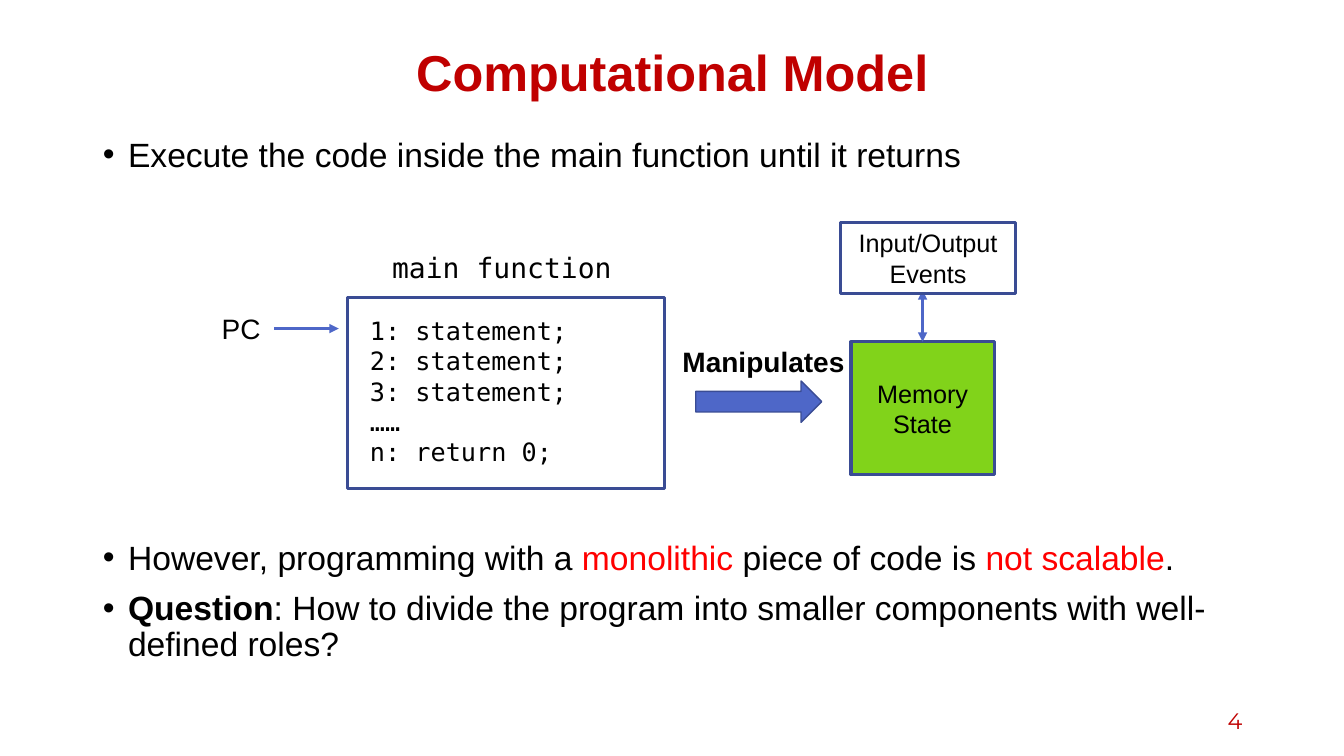
"""Build the Computational Model slide."""
from lxml import etree
from pptx import Presentation
from pptx.dml.color import RGBColor
from pptx.enum.shapes import MSO_CONNECTOR, MSO_SHAPE
from pptx.enum.text import MSO_ANCHOR, MSO_AUTO_SIZE, PP_ALIGN
from pptx.oxml.ns import qn
from pptx.util import Inches, Pt

RED = RGBColor(0xC0, 0x00, 0x00)
BRIGHT = RGBColor(0xFF, 0x00, 0x00)
BLACK = RGBColor(0x00, 0x00, 0x00)
WHITE = RGBColor(0xFF, 0xFF, 0xFF)
BLUE = RGBColor(0x4E, 0x67, 0xC8)
NAVY = RGBColor(0x3A, 0x4C, 0x94)
GREEN = RGBColor(0x81, 0xD3, 0x1A)
LEFT, CENTER, RIGHT = PP_ALIGN.LEFT, PP_ALIGN.CENTER, PP_ALIGN.RIGHT
TOP, MIDDLE = MSO_ANCHOR.TOP, MSO_ANCHOR.MIDDLE
RECT, ARROW = MSO_SHAPE.RECTANGLE, MSO_SHAPE.RIGHT_ARROW
STRAIGHT = MSO_CONNECTOR.STRAIGHT
SANS, MONO = "Arial", "DejaVu Sans Mono"


def write(shape, *lines, face=SANS, size=18, color=BLACK, bold=False,
          align=LEFT, anchor=TOP, space=None):
    frame = shape.text_frame
    frame.word_wrap = True
    frame.auto_size = MSO_AUTO_SIZE.NONE
    frame.vertical_anchor = anchor
    for i, line in enumerate(lines):
        para = frame.paragraphs[0] if i == 0 else frame.add_paragraph()
        para.alignment = align
        if space:
            para.line_spacing = space
        parts = [(line, color, bold)] if isinstance(line, str) else line
        for words, tint, heavy in parts:
            run = para.add_run()
            run.text = words
            run.font.name = face
            run.font.size = Pt(size)
            run.font.bold = heavy
            run.font.color.rgb = tint


def link(group, start, end, *ends):
    wire = group.add_connector(STRAIGHT, *map(Inches, start + end))
    wire.line.color.rgb = BLUE
    wire.line.width = Pt(2.25)
    line = wire.line._get_or_add_ln()
    for tag in ends:
        etree.SubElement(line, qn(tag), type="triangle")
    etree.SubElement(wire._element.spPr, qn("a:effectLst"))
    return wire


deck = Presentation()
deck.slide_width = Inches(13.33)
deck.slide_height = Inches(7.5)
slide = deck.slides.add_slide(deck.slide_layouts[1])
shapes = slide.shapes

title, body = slide.placeholders
for holder, top, height in ((title, 0.4, 0.7), (body, 1.32, 5.51)):
    holder.left, holder.top = Inches(0.92), Inches(top)
    holder.width, holder.height = Inches(11.5), Inches(height)
write(title, "Computational Model", size=36, color=RED, bold=True,
      align=CENTER, anchor=MIDDLE, space=0.9)
write(body, "Execute the code inside the main function until it returns",
      [("However, programming with a ", BLACK, False),
       ("monolithic", BRIGHT, False),
       (" piece of code is ", BLACK, False),
       ("not scalable", BRIGHT, False),
       (".", BLACK, False)],
      [("Question", BLACK, True),
       (": How to divide the program into smaller components with "
        "well-defined roles?", BLACK, False)],
      size=24, space=0.9)
for para, gap in zip(body.text_frame.paragraphs, (0, 262, 10)):
    props = para._p.get_or_add_pPr()
    props.set("marL", str(Inches(0.25)))
    props.set("indent", str(-Inches(0.25)))
    para.space_before = Pt(gap)

blocks = {}
for name, kind, spot, fill, width in (
        ("code", RECT, (3.45, 2.95, 3.14, 1.9), WHITE, 2.25),
        ("arrow", ARROW, (6.9, 3.78, 1.25, 0.41), BLUE, 1),
        ("state", RECT, (8.44, 3.39, 1.42, 1.32), GREEN, 2.25)):
    blocks[name] = (kind, spot, fill, width)
blocks["events"] = (RECT, (8.34, 2.21, 1.73, 0.7), WHITE, 2.25)
for name, (kind, spot, fill, width) in blocks.items():
    if name == "events":
        wire = link(shapes, (9.15, 2.88), (9.15, 3.39),
                    "a:headEnd", "a:tailEnd")
        wire.end_connect(blocks["state"], 0)
    block = shapes.add_shape(kind, *map(Inches, spot))
    block.shadow.inherit = False
    block.fill.solid()
    block.fill.fore_color.rgb = fill
    block.line.color.rgb = NAVY
    block.line.width = Pt(width)
    blocks[name] = block
write(blocks["state"], "Memory", "State", align=CENTER, anchor=MIDDLE)
write(blocks["events"], "Input/Output Events", align=CENTER, anchor=MIDDLE)

counter = shapes.add_group_shape().shapes
link(counter, (2.72, 3.26), (3.36, 3.26), "a:tailEnd")
for group, spot, lines, style in (
        (shapes, (3.57, 3.08, 2.89, 1.62),
         ("1: statement;", "2: statement;", "3: statement;", "……",
          "n: return 0;"), {"face": MONO}),
        (shapes, (3.79, 2.44, 2.68, 0.44), ("main function",),
         {"face": MONO, "size": 20}),
        (counter, (2.1, 3.04, 0.66, 0.44), ("PC",), {"size": 20}),
        (shapes, (6.67, 3.37, 1.95, 0.44), ("Manipulates",),
         {"size": 20, "bold": True}),
        (shapes, (9.42, 6.95, 3, 0.4), ("4",),
         {"face": "Montserrat", "size": 16, "color": RED,
          "align": RIGHT, "anchor": MIDDLE})):
    write(group.add_textbox(*map(Inches, spot)), *lines, **style)

deck.save("out.pptx")
